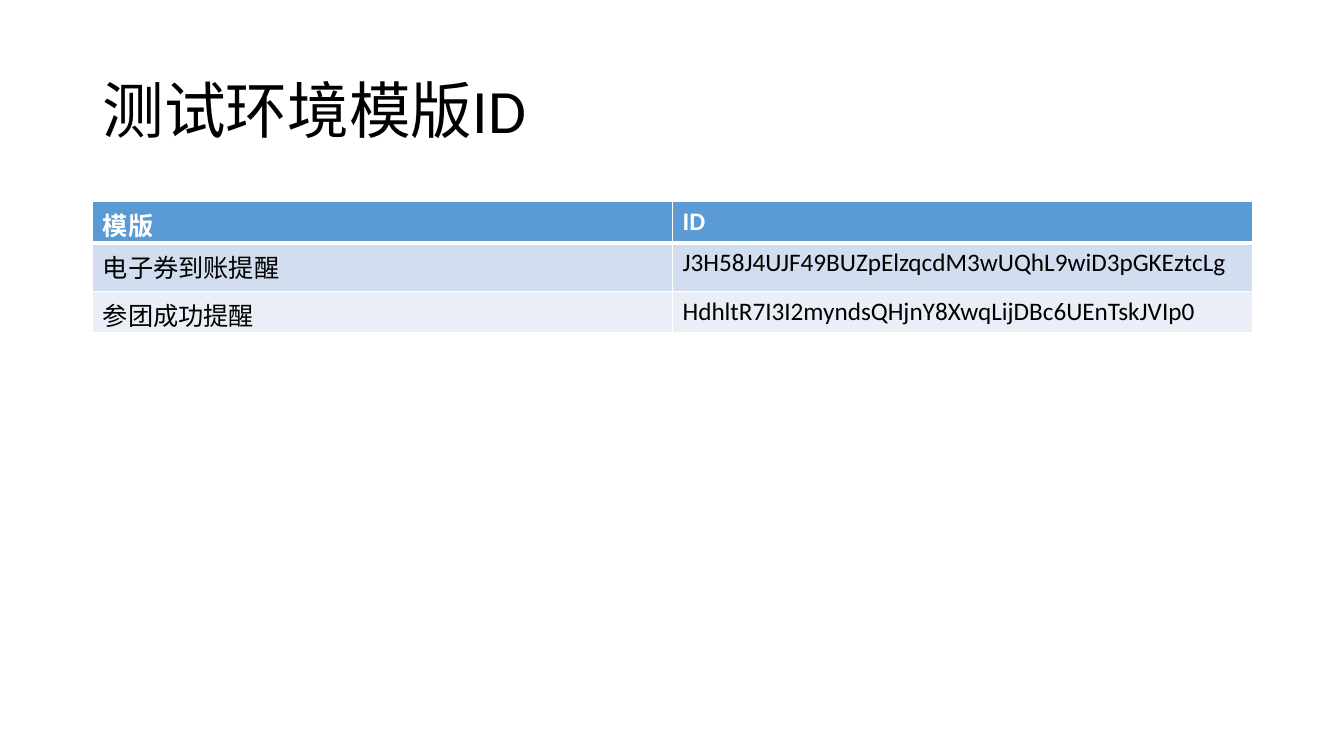
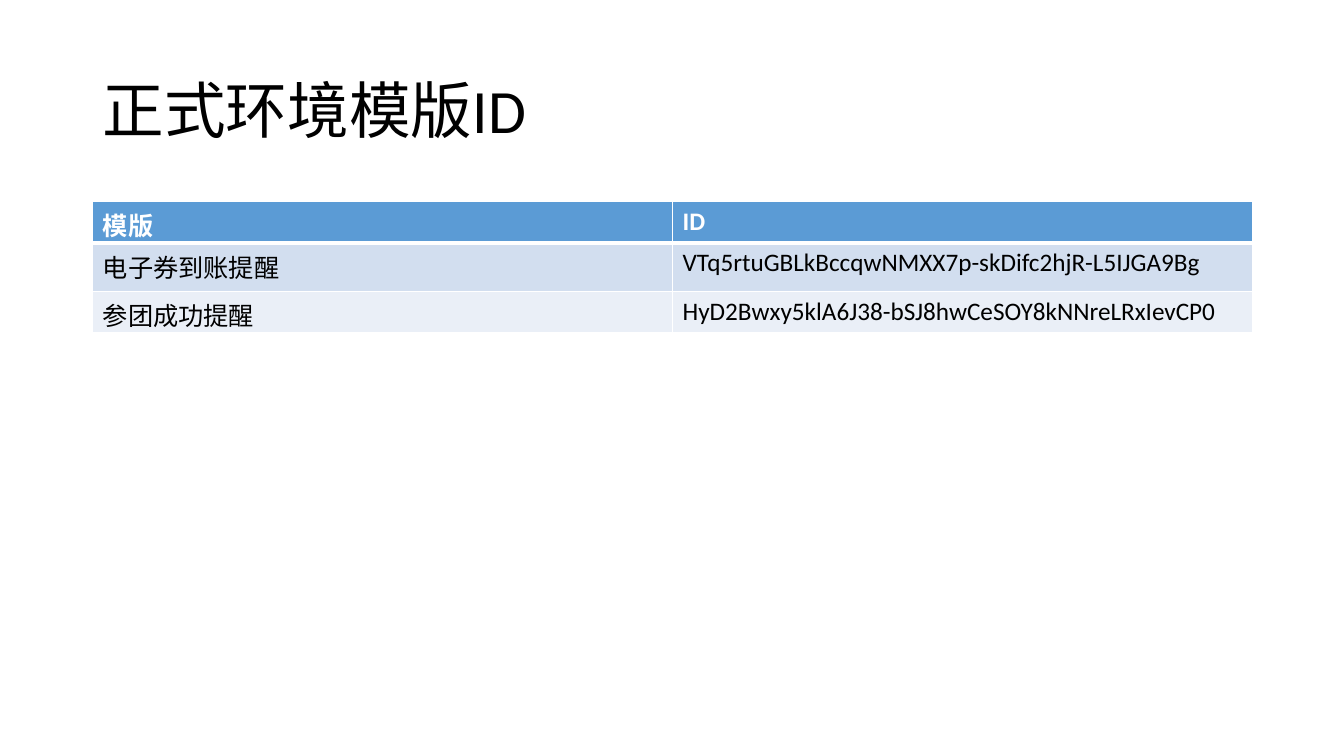
"""Build two slides that list the message template IDs of each environment."""
from lxml.etree import SubElement
from pptx import Presentation
from pptx.dml.color import RGBColor
from pptx.enum.text import MSO_ANCHOR
from pptx.oxml.ns import qn
from pptx.util import Inches, Pt

COLORS = {
    "text": "000000",
    "white": "FFFFFF",
    "header": "5B9BD5",
    "odd": "D2DEEF",
    "even": "EAEFF7",
}
FONT = "Calibri"
LEFT, WIDTH = 0.92, 11.5
ROW_HEIGHTS = [0.41, 0.48, 0.41]
ROW_FILLS = ["header", "odd", "even"]
TEMPLATES = ["电子券到账提醒", "参团成功提醒"]
ENVIRONMENTS = {
    "测试环境模版ID": [
        "J3H58J4UJF49BUZpElzqcdM3wUQhL9wiD3pGKEztcLg",
        "HdhltR7I3I2myndsQHjnY8XwqLijDBc6UEnTskJVIp0",
    ],
    "正式环境模版ID": [
        "VTq5rtuGBLkBccqwNMXX7p-skDifc2hjR-L5IJGA9Bg",
        "HyD2Bwxy5klA6J38-bSJ8hwCeSOY8kNNreLRxIevCP0",
    ],
}


def write(frame, text, size=18, color="text", bold=False, spacing=1.0):
    para = frame.paragraphs[0]
    para.line_spacing = spacing
    span = para.add_run()
    span.text = text
    span.font.name = FONT
    span.font.size = Pt(size)
    span.font.bold = bold
    span.font.color.rgb = RGBColor.from_string(COLORS[color])


def add_border(cell, side, points):
    props = cell._tc.get_or_add_tcPr()
    line = SubElement(props, qn(f"a:ln{side}"), w=str(Pt(points)))
    fill = SubElement(line, qn("a:solidFill"))
    SubElement(fill, qn("a:srgbClr"), val=COLORS["white"])


deck = Presentation()
deck.slide_width, deck.slide_height = Inches(13.33), Inches(7.5)

for title, ids in ENVIRONMENTS.items():
    page = deck.slides.add_slide(deck.slide_layouts[6])
    box = page.shapes.add_textbox(
        Inches(LEFT), Inches(0.4), Inches(WIDTH), Inches(1.45))
    box.text_frame.word_wrap = True
    box.text_frame.vertical_anchor = MSO_ANCHOR.MIDDLE
    write(box.text_frame, title, size=44, spacing=0.9)

    rows = [("模版", "ID"), *zip(TEMPLATES, ids)]
    table = page.shapes.add_table(
        len(rows), 2, Inches(LEFT), Inches(2),
        Inches(WIDTH), Inches(sum(ROW_HEIGHTS))).table
    for column in table.columns:
        column.width = Inches(WIDTH / 2)

    for row, texts in enumerate(rows):
        table.rows[row].height = Inches(ROW_HEIGHTS[row])
        is_header = row == 0
        for col, text in enumerate(texts):
            cell = table.cell(row, col)
            for side in "LRTB":
                thick = (is_header and side == "B") or (row == 1 and side == "T")
                add_border(cell, side, 3 if thick else 1)
            cell.fill.solid()
            cell.fill.fore_color.rgb = RGBColor.from_string(COLORS[ROW_FILLS[row]])
            write(cell.text_frame, text, bold=is_header,
                  color="white" if is_header else "text")

deck.save("out.pptx")
